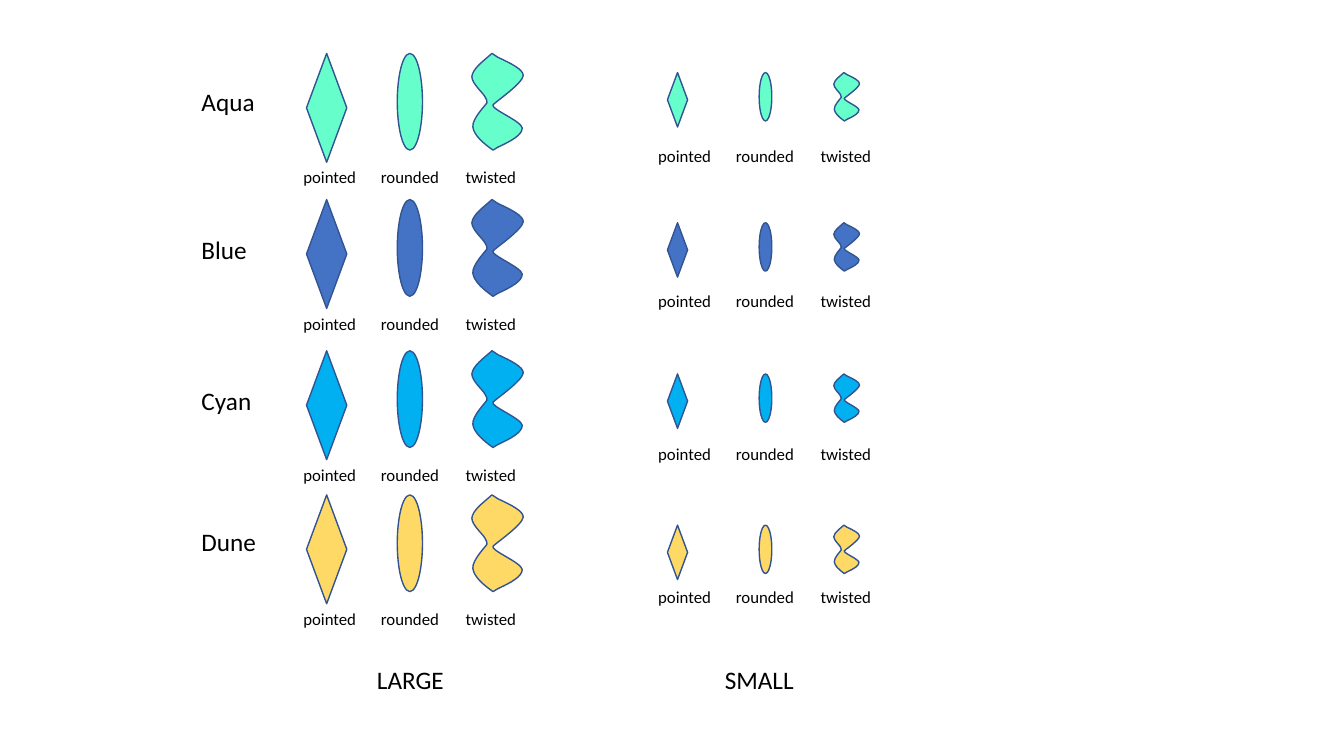
from lxml import etree
from pptx import Presentation
from pptx.dml.color import RGBColor
from pptx.enum.shapes import MSO_SHAPE
from pptx.enum.text import MSO_AUTO_SIZE
from pptx.oxml.ns import qn
from pptx.util import Emu, Pt

PX = 9144  # 100 px to the inch
BLANK_LAYOUT = 6

# Colour rows: name, fill, tops of name, large figures, small figures, small labels
ROWS = [
    ("Aqua", "66FFCC", 81, 53, 72, 140),
    ("Blue", "4472C4", 228, 198, 221, 284),
    ("Cyan", "00B0F0", 377, 348, 371, 435),
    ("Dune", "FFD966", 517, 491, 521, 577),
]
# Size columns: scale, left edges of the three figures, left edges of their labels
LARGE = (1, (304, 394, 468), (291, 368, 452))
SMALL = (0.5, (662, 753, 827), (643, 720, 804))
DIAMOND_HEIGHT = 108

# Twisted outline: one point makes a line, three points make a curve
TWIST_START = (20, 0)
TWIST_SEGMENTS = [
    [(26, 4)],
    [(39, 10), (51, 16), (51, 22)],
    [(50, 30), (25, 47), (21, 51)],
    [(18, 55), (49, 67), (50, 74)],
    [(50, 81), (39, 87), (26, 93)],
    [(21, 96)],
    [(11, 89), (2, 81), (1, 73)],
    [(0, 65), (14, 51), (15, 49)],
    [(15, 46), (15, 47), (13, 43)],
    [(11, 39), (0, 30), (0, 23)],
    [(1, 15), (11, 8), (20, 0)],
]


def px(length):
    return Emu(round(length * PX))


def colour(hex_string):
    return RGBColor.from_string(hex_string)


class FigureSlide:
    font_name = "Calibri"
    text_colour = "000000"
    line_colour = "325491"

    def __init__(self, presentation):
        self.slide = presentation.slides.add_slide(presentation.slide_layouts[BLANK_LAYOUT])
        self.shapes = self.slide.shapes

    def text(self, text, left, top, width=84, height=30, size=12):
        frame = self.shapes.add_textbox(px(left), px(top), px(width), px(height)).text_frame
        frame.word_wrap = True
        frame.auto_size = MSO_AUTO_SIZE.SHAPE_TO_FIT_TEXT
        run = frame.paragraphs[0].add_run()
        run.text = text
        run.font.name = self.font_name
        run.font.size = Pt(size)
        run.font.color.rgb = colour(self.text_colour)

    def paint(self, shape, fill):
        shape.shadow.inherit = False
        shape.fill.solid()
        shape.fill.fore_color.rgb = colour(fill)
        shape.line.color.rgb = colour(self.line_colour)
        shape.line.width = Pt(1)

    def preset(self, kind, left, top, width, height, fill):
        shape = self.shapes.add_shape(kind, px(left), px(top), px(width), px(height))
        self.paint(shape, fill)

    def twist(self, left, top, scale, fill):
        builder = self.shapes.build_freeform(*TWIST_START, scale=PX * scale)
        for segment in TWIST_SEGMENTS:
            builder.add_line_segments(segment, close=False)
        builder.add_line_segments([], close=True)
        shape = builder.convert_to_shape(px(left), px(top))
        self.paint(shape, fill)
        # Merge the points of each curve into one cubic segment
        lines = iter(list(shape.element.iter(qn("a:lnTo"))))
        for segment in TWIST_SEGMENTS:
            parts = [next(lines) for _ in segment]
            if len(parts) == 3:
                curve = etree.Element(qn("a:cubicBezTo"))
                parts[0].addprevious(curve)
                for part in parts:
                    curve.append(part[0])
                    part.getparent().remove(part)

    def figures(self, column, top, label_top, fill):
        scale, figure_lefts, label_lefts = column
        diamond, ellipse, twist = figure_lefts
        self.preset(MSO_SHAPE.DIAMOND, diamond, top, 40 * scale, DIAMOND_HEIGHT * scale, fill)
        self.preset(MSO_SHAPE.OVAL, ellipse, top, 25 * scale, 96 * scale, fill)
        self.twist(twist, top, scale, fill)
        for label, left in zip(("pointed", "rounded", "twisted"), label_lefts):
            self.text(label, left, label_top)


def main():
    presentation = Presentation()
    presentation.slide_width, presentation.slide_height = px(1333), px(750)
    chart = FigureSlide(presentation)

    # Rows of figures with their colour names
    for name, fill, name_top, large_top, small_top, small_label_top in ROWS:
        chart.figures(LARGE, large_top, large_top + DIAMOND_HEIGHT, fill)
        chart.figures(SMALL, small_top, small_label_top, fill)
        chart.text(name, 190, name_top, width=89, height=40, size=18)

    # Size captions
    for caption, left in (("LARGE", 364), ("SMALL", 709)):
        chart.text(caption, left, 654, width=118, height=40, size=18)

    presentation.save("out.pptx")


if __name__ == "__main__":
    main()
